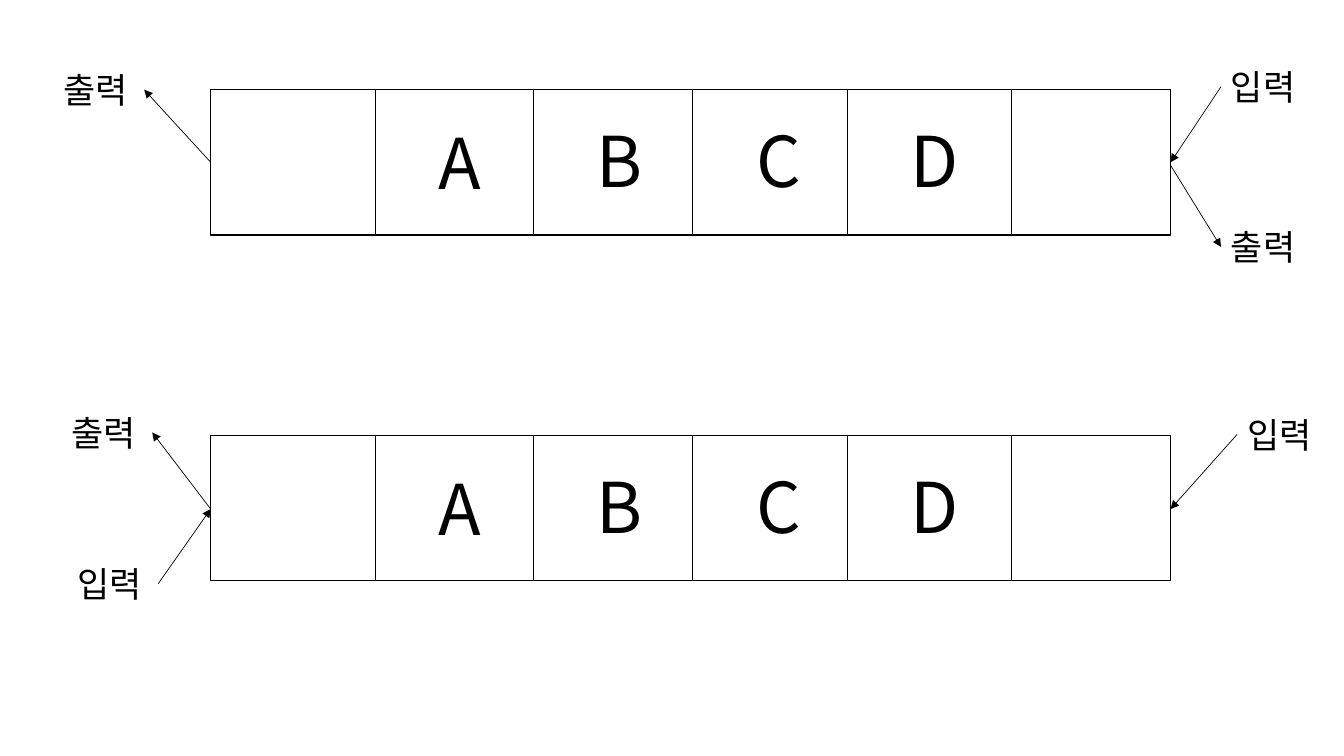
from lxml.etree import SubElement
from pptx import Presentation
from pptx.dml.color import RGBColor
from pptx.enum.shapes import MSO_CONNECTOR as Connector, MSO_SHAPE as Preset
from pptx.enum.text import MSO_AUTO_SIZE as AutoSize
from pptx.oxml.ns import qn
from pptx.util import Inches, Pt

COLOURS = {"ink": "000000"}
FONT = "Noto Sans CJK KR"
SLIDE_SIZE = (13.33, 7.5)
COLUMN_EDGES = (2.09, 3.72, 5.29, 6.87, 8.4, 10.03, 11.61)
CELL_HEIGHT = 1.44
LABEL_SIZE = (0.9, 0.52)
LETTERS = (("A", 0.66, 0.25), ("B", 0.61, 0.23), ("C", 0.65, 0.23), ("D", 0.71, 0.23))
LETTER_INDENT, LETTER_HEIGHT = 0.53, 0.94
INPUT, OUTPUT = "입력", "출력"

# Each flow: label, side, gap to the queue, rise from its middle, shift of the joint
QUEUES = (
    (4.32, ((OUTPUT, "left", 0.58, -0.75, 0.01),
            (INPUT, "left", 0.52, 0.75, 0.01),
            (INPUT, "right", 0.66, -0.73, 0.01))),
    (0.89, ((OUTPUT, "left", 0.66, -0.72, 0),
            (INPUT, "right", 0.5, -0.75, 0),
            (OUTPUT, "right", 0.5, 0.84, 0.03))),
)


def inches(*values):
    return [Inches(value) for value in values]


def apply(target, formats):
    for name, value in formats.items():
        setattr(target, name, value)


def ink():
    return RGBColor.from_string(COLOURS["ink"])


def add_text(slide, text, left, top, width, height, size):
    box = slide.shapes.add_textbox(*inches(left, top, width, height))
    apply(box.text_frame, {"word_wrap": False, "auto_size": AutoSize.SHAPE_TO_FIT_TEXT})
    run = box.text_frame.paragraphs[0].add_run()
    run.text = text
    apply(run.font, {"name": FONT, "size": Pt(size)})
    run.font.color.rgb = ink()
    SubElement(run._r.get_or_add_rPr(), qn("a:ea"), typeface=FONT)


def add_line(slide, start, end, arrow=False):
    line = slide.shapes.add_connector(Connector.STRAIGHT, *inches(*start, *end))
    line.line.width = Pt(0.5)
    line.line.color.rgb = ink()
    if arrow:
        SubElement(line.line._get_or_add_ln(), qn("a:tailEnd"), type="triangle")
    SubElement(line._element.spPr, qn("a:effectLst"))


def add_cells(slide, top):
    left, right = COLUMN_EDGES[0], COLUMN_EDGES[-1]
    frame = slide.shapes.add_shape(
        Preset.RECTANGLE, *inches(left, top, right - left, CELL_HEIGHT))
    frame.shadow.inherit = False
    frame.fill.background()
    frame.line.width = Pt(1)
    frame.line.color.rgb = ink()
    for edge in COLUMN_EDGES[1:-1]:
        add_line(slide, (edge, top), (edge, top + CELL_HEIGHT))
    for edge, (letter, width, drop) in zip(COLUMN_EDGES[1:], LETTERS):
        add_text(slide, letter, edge + LETTER_INDENT, top + drop, width, LETTER_HEIGHT, 50)


def add_flow(slide, middle, label, side, gap, rise, shift):
    width, height = LABEL_SIZE
    on_left = side == "left"
    edge = COLUMN_EDGES[0] if on_left else COLUMN_EDGES[-1]
    outer = (edge - gap if on_left else edge + gap, middle + rise)
    joint = (edge, middle + shift)
    start, end = (outer, joint) if label == INPUT else (joint, outer)
    add_line(slide, start, end, arrow=True)
    label_left = outer[0] - width if on_left else outer[0]
    add_text(slide, label, label_left, outer[1] - height / 2, width, height, 25)


def main():
    presentation = Presentation()
    width, height = inches(*SLIDE_SIZE)
    apply(presentation, {"slide_width": width, "slide_height": height})
    slide = presentation.slides.add_slide(presentation.slide_layouts[6])
    for top, flows in QUEUES:
        add_cells(slide, top)
        for flow in flows:
            add_flow(slide, top + CELL_HEIGHT / 2, *flow)
    presentation.save("out.pptx")


main()
